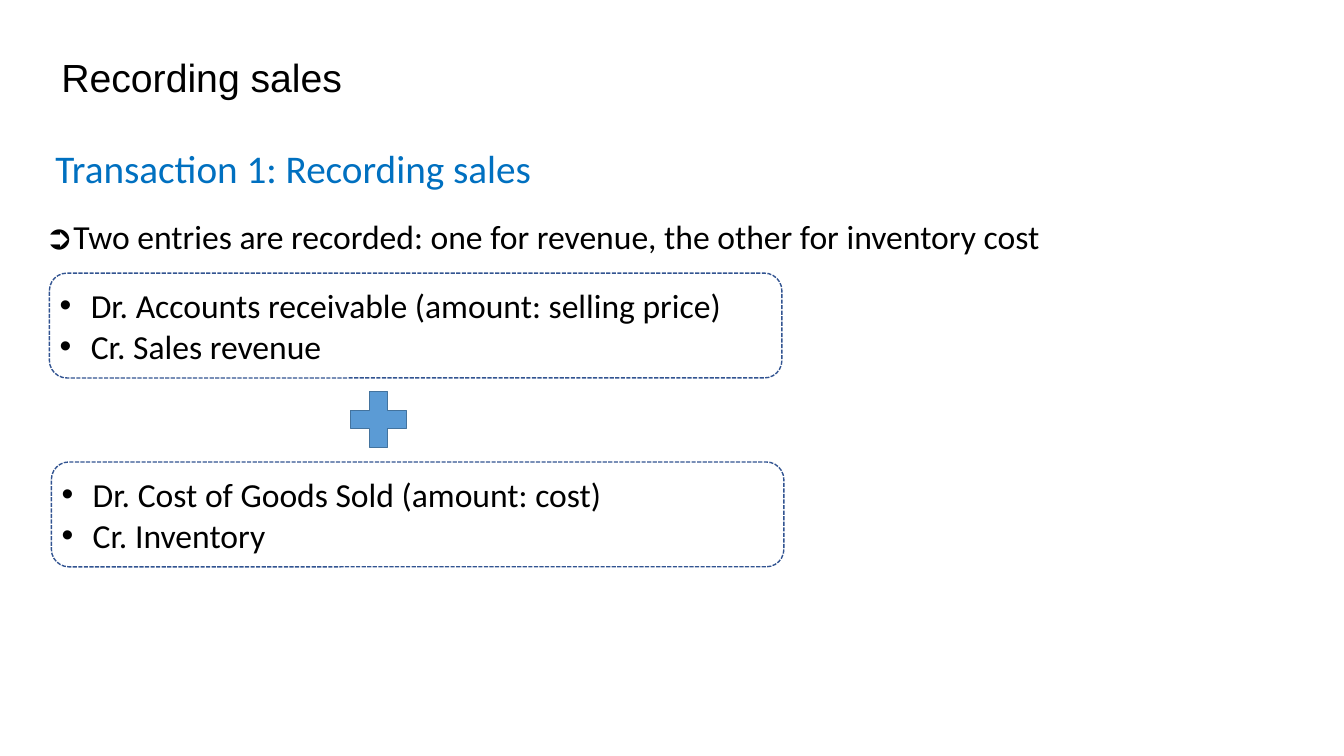
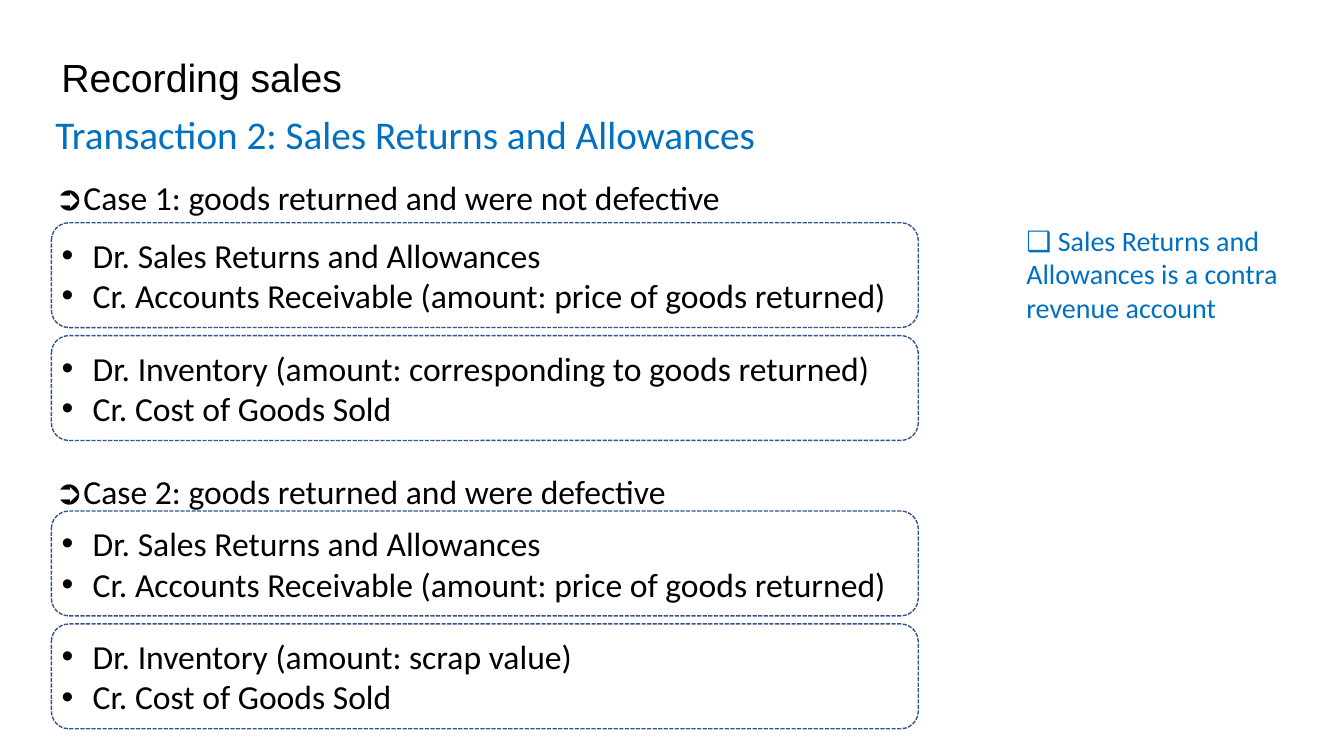
from lxml import etree
from pptx import Presentation
from pptx import util as u
from pptx.dml.color import RGBColor
from pptx.enum import dml, shapes, text
from pptx.oxml.ns import qn

COLORS = {
    "ink": "000000",
    "accent": "0070C0",
    "outline": "325491",
    "plus": "5B9BD5",
    "plus_edge": "43739E",
}
COLUMNS, ROWS = 80, 45
ENTRY_HEIGHT = 6.24
ENTRY_STEP = 6.72
INDENT = u.Inches(0.31)


def color(name):
    return RGBColor.from_string(COLORS[name])


def write(frame, *lines, size=24, font="Calibri", ink="ink", bullet=None,
          spacing=None, anchor=text.MSO_ANCHOR.TOP):
    frame.word_wrap = True
    frame.vertical_anchor = anchor
    for index, line in enumerate(lines):
        paragraph = frame.paragraphs[0] if index == 0 else frame.add_paragraph()
        paragraph.alignment = text.PP_ALIGN.LEFT
        if spacing:
            paragraph.line_spacing = spacing
        if bullet:
            properties = paragraph._p.get_or_add_pPr()
            properties.set("marL", str(INDENT))
            properties.set("indent", str(-INDENT))
            etree.SubElement(properties, qn("a:buFont")).set("typeface", "Arial")
            etree.SubElement(properties, qn("a:buChar")).set("char", bullet)
        run = paragraph.add_run()
        run.text = line
        run.font.size = u.Pt(size)
        run.font.name = font
        run.font.color.rgb = color(ink)


class Deck:
    def __init__(self):
        self.presentation = Presentation()
        self.presentation.slide_width = u.Inches(13.333)
        self.presentation.slide_height = u.Inches(7.5)
        self.slide = None

    def place(self, column, row, width, height):
        across = self.presentation.slide_width / COLUMNS
        down = self.presentation.slide_height / ROWS
        return (round(column * across), round(row * down),
                round(width * across), round(height * down))

    def new_slide(self, title):
        blank = self.presentation.slide_layouts[6]
        self.slide = self.presentation.slides.add_slide(blank)
        self.label(title, 3.06, 0.42, 69, 8.7, size=28, font="Arial",
                   spacing=0.9, anchor=text.MSO_ANCHOR.MIDDLE)

    def label(self, words, column, row, width, height=3, **style):
        box = self.slide.shapes.add_textbox(*self.place(column, row, width, height))
        write(box.text_frame, words, **style)

    def heading(self, words, row):
        self.label(words, 2.7, row, 56.2, 3.4, size=28, ink="accent")

    def shape(self, kind, area, edge):
        item = self.slide.shapes.add_shape(kind, *self.place(*area))
        item.shadow.inherit = False
        item.line.color.rgb = color(edge)
        item.line.width = u.Pt(1)
        return item

    def entry(self, debit, credit, column, row, width):
        box = self.shape(shapes.MSO_SHAPE.ROUNDED_RECTANGLE,
                         (column, row, width, ENTRY_HEIGHT), "outline")
        box.fill.background()
        box.line.dash_style = dml.MSO_LINE.SQUARE_DOT
        frame = box.text_frame
        frame.margin_left = u.Inches(0.05)
        frame.margin_right = 0
        write(frame, f"Dr. {debit}", f"Cr. {credit}", bullet="•",
              anchor=text.MSO_ANCHOR.MIDDLE)

    def plus(self, column, row, size):
        sign = self.shape(shapes.MSO_SHAPE.MATH_PLUS,
                          (column, row, size, size), "plus_edge")
        sign.fill.solid()
        sign.fill.fore_color.rgb = color("plus")


def sales_slide(deck):
    deck.new_slide("Recording sales")
    deck.heading("Transaction 1: Recording sales", 8.28)
    deck.label("➲Two entries are recorded: one for revenue, the other for inventory cost",
               2.1, 12.54, 70)
    deck.entry("Accounts receivable (amount: selling price)", "Sales revenue",
               2.94, 16.26, 43.6)
    deck.entry("Cost of Goods Sold (amount: cost)", "Inventory", 3.06, 27.5, 43.6)
    deck.plus(20.28, 22.7, 4.53)


def returns_slide(deck):
    deck.new_slide("Recording sales")
    deck.heading("Transaction 2: Sales Returns and Allowances", 6.24)
    refund = ("Sales Returns and Allowances",
              "Accounts Receivable (amount: price of goods returned)")
    cases = [
        ("➲Case 1: goods returned and were not defective", 10.26, 13.26,
         "corresponding to goods returned"),
        ("➲Case 2: goods returned and were defective", 27.72, 30.42, "scrap value"),
    ]
    for case, case_row, entry_row, amount in cases:
        deck.label(case, 2.7, case_row, 50)
        restock = (f"Inventory (amount: {amount})", "Cost of Goods Sold")
        for index, (debit, credit) in enumerate((refund, restock)):
            deck.entry(debit, credit, 3.06, entry_row + index * ENTRY_STEP, 51.6)
    deck.label("❑ Sales Returns and Allowances is a contra revenue account",
               60.5, 13, 16.7, 6.7, size=20, ink="accent")


def main():
    deck = Deck()
    sales_slide(deck)
    returns_slide(deck)
    deck.presentation.save("out.pptx")


if __name__ == "__main__":
    main()
